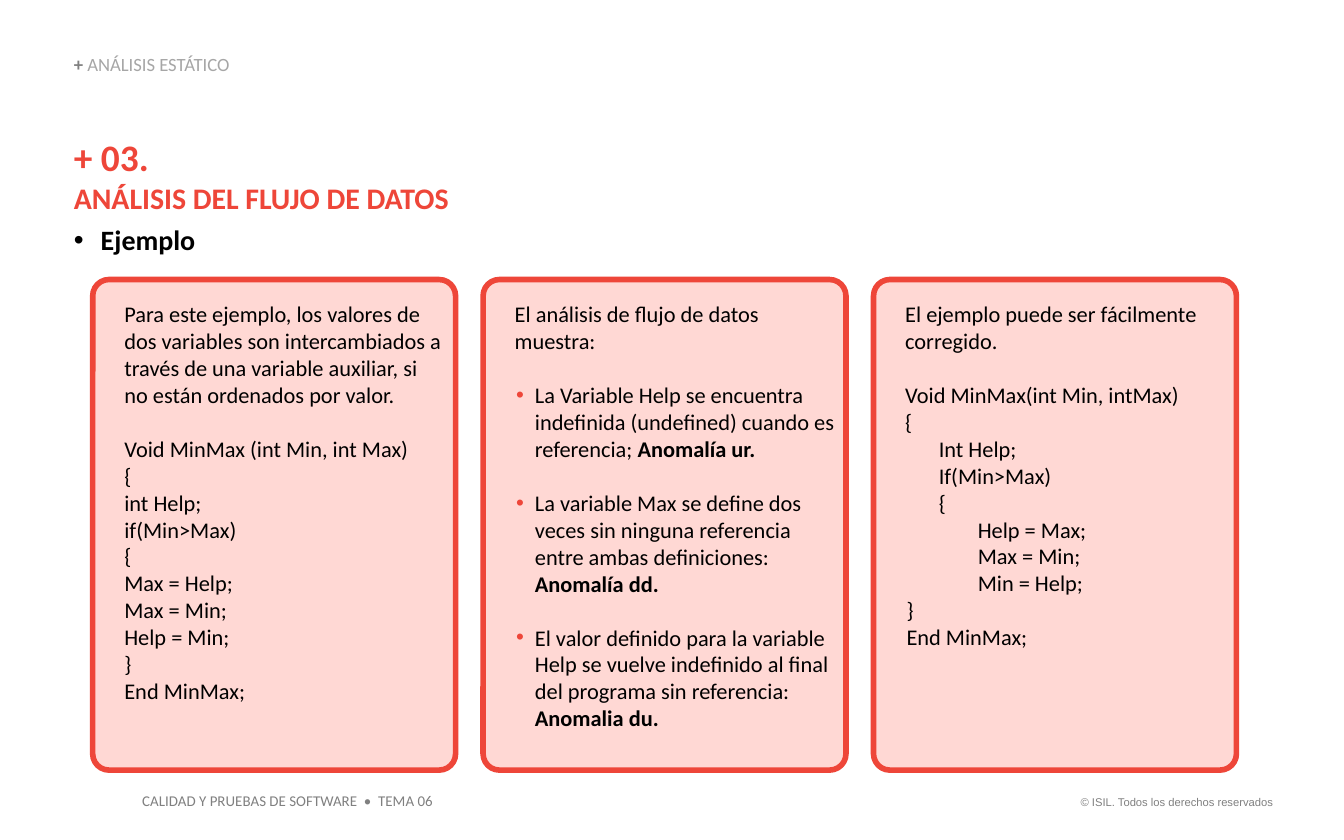
from dataclasses import dataclass

from lxml.etree import SubElement
from pptx import Presentation
from pptx.dml.color import RGBColor
from pptx.enum.shapes import MSO_SHAPE
from pptx.enum.text import MSO_ANCHOR, PP_ALIGN
from pptx.oxml.ns import qn
from pptx.util import Inches, Pt

RED = RGBColor(0xEE, 0x46, 0x39)
PINK = RGBColor(0xFF, 0xD8, 0xD4)
BLACK = RGBColor(0, 0, 0)
GRAY = RGBColor(0x80, 0x80, 0x80)
LIGHT_GRAY = RGBColor(0xA6, 0xA6, 0xA6)

CARD_LEFT, CARD_TOP, CARD_W, CARD_H, CARD_STEP = 0.69, 2.08, 2.7, 3.65, 2.905
BLANK_LINE = Pt(14.5)


@dataclass
class Line:
    text: str
    strong: str = ""
    indent: float = 0
    bullet: bool = False
    gap: bool = False


def add_run(p, text: str, size: float, color: RGBColor, bold: bool = False,
            font: str = "Calibri") -> None:
    r = p.add_run()
    r.text = text
    r.font.size, r.font.bold, r.font.name = Pt(size), bold, font
    r.font.color.rgb = color


def set_indent(p, left: float, first: float) -> None:
    pPr = p._p.get_or_add_pPr()
    pPr.set("marL", str(Inches(left)))
    pPr.set("indent", str(Inches(first)))


def set_bullet(p, color: RGBColor) -> None:
    pPr = p._p.get_or_add_pPr()
    SubElement(SubElement(pPr, qn("a:buClr")), qn("a:srgbClr"), val=str(color))
    SubElement(pPr, qn("a:buFont"), typeface="Arial")
    SubElement(pPr, qn("a:buChar"), char="•")


def set_margins(tf, left: float, top: float, right: float, bottom: float) -> None:
    tf.margin_left, tf.margin_top = Inches(left), Inches(top)
    tf.margin_right, tf.margin_bottom = Inches(right), Inches(bottom)


def add_text(s, x: float, y: float, w: float, h: float, wrap: bool = True):
    tf = s.shapes.add_textbox(Inches(x), Inches(y), Inches(w), Inches(h)).text_frame
    tf.word_wrap = wrap
    if wrap:
        set_margins(tf, 0, 0, 0, 0)
    return tf


def add_card(s, left: float, lines: list[Line]) -> None:
    sp = s.shapes.add_shape(MSO_SHAPE.ROUNDED_RECTANGLE, Inches(left), Inches(CARD_TOP),
                            Inches(CARD_W), Inches(CARD_H))
    sp.adjustments[0] = 0.045
    sp.shadow.inherit = False
    sp.fill.solid()
    sp.fill.fore_color.rgb = PINK
    sp.line.color.rgb = RED
    sp.line.width = Pt(3)
    tf = sp.text_frame
    tf.word_wrap = True
    tf.vertical_anchor = MSO_ANCHOR.TOP
    set_margins(tf, 0.2, 0.12, 0.04, 0.05)
    for i, line in enumerate(lines):
        p = tf.add_paragraph() if i else tf.paragraphs[0]
        p.alignment = PP_ALIGN.LEFT
        if line.bullet:
            set_indent(p, 0.15, -0.14)
            set_bullet(p, RED)
        elif line.indent:
            set_indent(p, 0, line.indent)
        if line.gap:
            p.space_before = BLANK_LINE
        add_run(p, line.text, 12, BLACK)
        if line.strong:
            add_run(p, line.strong, 12, BLACK, bold=True)


CARDS = [
    [
        Line("Para este ejemplo, los valores de dos variables son intercambiados "
             "a través de una variable auxiliar, si no están ordenados por valor."),
        Line("Void MinMax (int Min, int Max)", gap=True),
        *map(Line, ["{", "int Help;", "if(Min>Max)", "{", "Max = Help;", "Max = Min;",
                    "Help = Min;", "}", "End MinMax;"]),
    ],
    [
        Line("El análisis de flujo de datos muestra:"),
        Line("La Variable Help se encuentra indefinida (undefined) cuando es referencia; ",
             "Anomalía ur.", bullet=True, gap=True),
        Line("La variable Max se define dos veces sin ninguna referencia entre ambas "
             "definiciones: ", "Anomalía dd.", bullet=True, gap=True),
        Line("El valor definido para la variable Help se vuelve indefinido al final del "
             "programa sin referencia: ", "Anomalia du.", bullet=True, gap=True),
    ],
    [
        Line("El ejemplo puede ser fácilmente corregido."),
        Line("Void MinMax(int Min, intMax)", gap=True),
        Line("{"),
        *[Line(t, indent=0.25) for t in ("Int Help;", "If(Min>Max)", "{")],
        *[Line(t, indent=0.54) for t in ("Help = Max;", "Max = Min;", "Min = Help;")],
        *[Line(t, indent=0.01) for t in ("}", "End MinMax;")],
    ],
]


def main() -> None:
    prs = Presentation()
    prs.slide_width, prs.slide_height = Inches(10), Inches(6.25)
    s = prs.slides.add_slide(prs.slide_layouts[6])

    # Footer
    p = add_text(s, 7.88, 5.87, 1.69, 0.2, wrap=False).paragraphs[0]
    p.alignment = PP_ALIGN.RIGHT
    add_run(p, "© ISIL. Todos los derechos reservados", 6, GRAY, font="Arial")
    p = add_text(s, 0.96, 5.84, 2.37, 0.24, wrap=False).paragraphs[0]
    add_run(p, "CALIDAD Y PRUEBAS DE SOFTWARE  •  TEMA 06", 8, GRAY)

    # Section label
    tf = add_text(s, 0.55, 0.41, 3.61, 0.15)
    tf.vertical_anchor = MSO_ANCHOR.BOTTOM
    p = tf.paragraphs[0]
    p.line_spacing = 0.9
    add_run(p, "+ ", 10, GRAY, bold=True)
    add_run(p, "ANÁLISIS ESTÁTICO", 10, LIGHT_GRAY)

    # Heading
    tf = add_text(s, 0.55, 1, 8.94, 0.92)
    p = tf.paragraphs[0]
    p.space_after = Pt(6)
    add_run(p, "+ 03.", 20, RED, bold=True)
    p.add_line_break()
    add_run(p, "ANÁLISIS DEL FLUJO DE DATOS", 16, RED, bold=True)
    p = tf.add_paragraph()
    set_indent(p, 0.2, -0.2)
    set_bullet(p, BLACK)
    p.line_spacing = 0.9
    add_run(p, "Ejemplo", 15, BLACK, bold=True)

    # Cards
    for i, lines in enumerate(CARDS):
        add_card(s, CARD_LEFT + i * CARD_STEP, lines)

    prs.save("out.pptx")


if __name__ == "__main__":
    main()
